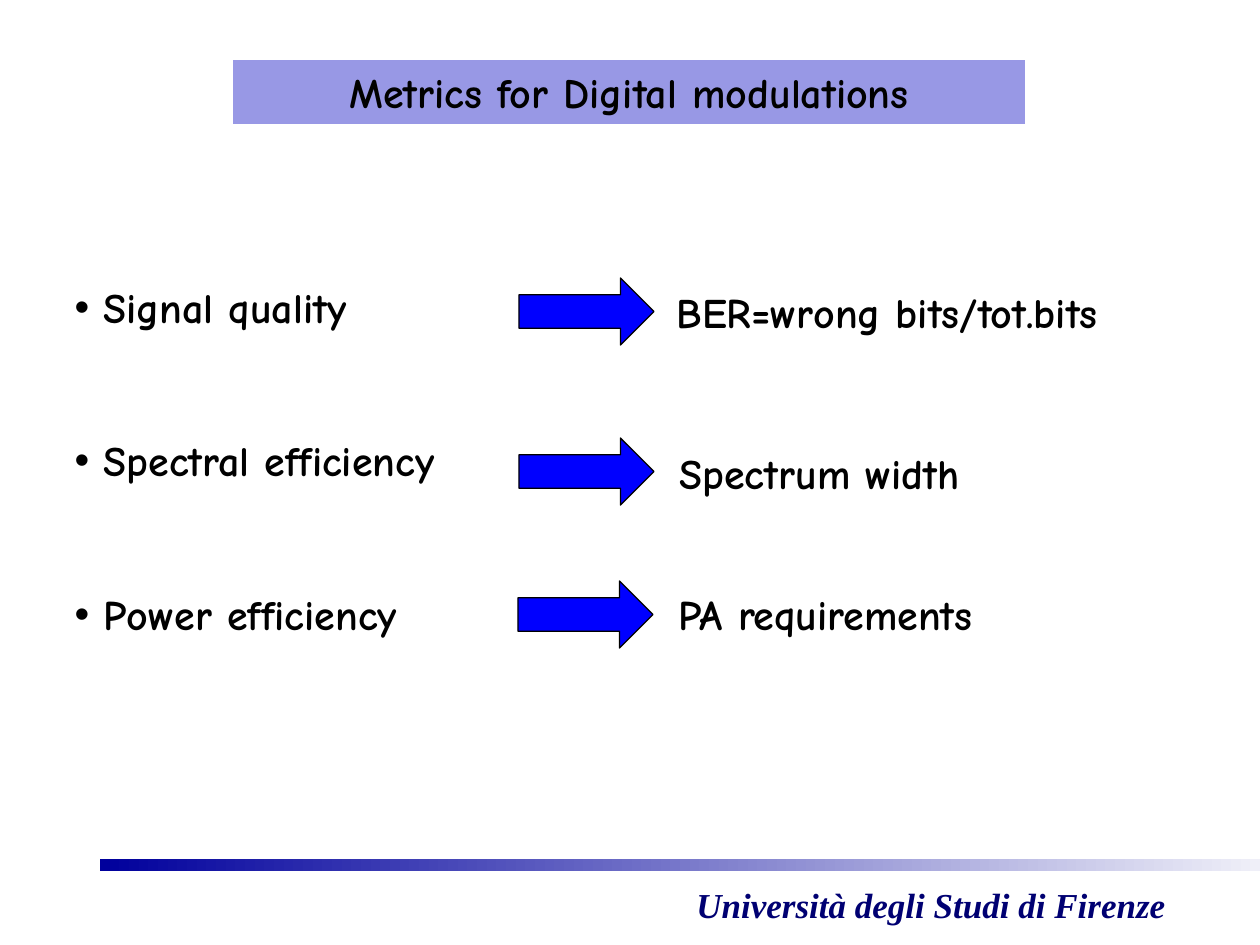
from lxml import etree
from pptx import Presentation
from pptx import util as u
from pptx.dml.color import RGBColor
from pptx.enum import shapes, text
from pptx.oxml import ns

BLACK = RGBColor(0x00, 0x00, 0x00)
WHITE = RGBColor(0xFF, 0xFF, 0xFF)
BLUE = RGBColor(0x00, 0x00, 0xFF)
TITLE_BLUE = RGBColor(0x33, 0x33, 0xCC)
FOOTER_NAVY = RGBColor(0x00, 0x00, 0x72)
BAR_DARK = RGBColor(0x00, 0x00, 0x9C)
BAR_LIGHT = RGBColor(0xEF, 0xEF, 0xF8)

PX_PER_INCH = 126
BODY_FONT = "Comic Neue"
METRICS = [
    ("Signal quality", "BER=wrong bits/tot.bits", (519, 278), (664, 280)),
    ("Spectral efficiency", "Spectrum width", (519, 438), (667, 441)),
    ("Power efficiency", "PA requirements", (518, 581), (666, 582)),
]


def px(length):
    return u.Emu(round(length * 914400 / PX_PER_INCH))


def place(box, left, top, width, height):
    box.left, box.top, box.width, box.height = map(px, (left, top, width, height))


def add_text(para, words, size=24, name=BODY_FONT, color=BLACK, italic=False):
    span = para.add_run()
    span.text = words
    font = span.font
    font.size, font.name = u.Pt(size), name
    font.bold, font.italic = True, italic
    font.color.rgb = color


def set_frame(box, anchor=text.MSO_ANCHOR.TOP):
    frame = box.text_frame
    frame.word_wrap = True
    frame.auto_size = text.MSO_AUTO_SIZE.NONE
    frame.vertical_anchor = anchor
    return frame


def add_bullet(para):
    properties = para._p.get_or_add_pPr()
    properties.set("marL", str(px(29)))
    properties.set("indent", str(-px(29)))
    color = etree.SubElement(properties, ns.qn("a:buClr"))
    etree.SubElement(color, ns.qn("a:srgbClr"), val=str(BLACK))
    etree.SubElement(properties, ns.qn("a:buFont"), typeface="Arial")
    etree.SubElement(properties, ns.qn("a:buChar"), char="•")


def add_shape(page, kind, left, top, width, height):
    shape = page.shapes.add_shape(kind, *map(px, (left, top, width, height)))
    shape.shadow.inherit = False
    return shape


def set_title(page):
    title = page.shapes.title
    place(title, 233, 60, 792, 64)
    title.fill.solid()
    title.fill.fore_color.rgb = TITLE_BLUE
    color = title._element.spPr.find(".//" + ns.qn("a:srgbClr"))
    etree.SubElement(color, ns.qn("a:alpha"), val="50000")
    para = set_frame(title, text.MSO_ANCHOR.MIDDLE).paragraphs[0]
    para.alignment = text.PP_ALIGN.CENTER
    add_text(para, "Metrics for Digital modulations")


def set_metric_list(page):
    body = page.placeholders[1]
    place(body, 62, 275, 484, 370)
    frame = set_frame(body)
    for index, (metric, *_) in enumerate(METRICS):
        para = frame.add_paragraph() if index else frame.paragraphs[0]
        add_bullet(para)
        para.space_before = u.Pt(59 if index else 0)
        add_text(para, metric)


def add_arrow(page, left, top):
    arrow = add_shape(page, shapes.MSO_SHAPE.RIGHT_ARROW, left, top, 135, 67)
    arrow.fill.solid()
    arrow.fill.fore_color.rgb = BLUE
    arrow.line.color.rgb = BLACK
    arrow.line.width = u.Pt(0.75)


def add_measure(page, words, left, top):
    box = page.shapes.add_textbox(*map(px, (left, top, 532, 63)))
    add_text(set_frame(box).paragraphs[0], words)


def add_footer(page):
    label = add_shape(page, shapes.MSO_SHAPE.RECTANGLE, 684, 877, 539, 55)
    label.fill.solid()
    label.fill.fore_color.rgb = WHITE
    label.line.color.rgb = WHITE
    label.line.width = u.Pt(0.75)
    para = set_frame(label).paragraphs[0]
    para.alignment = text.PP_ALIGN.LEFT
    add_text(para, "Università degli Studi di Firenze", 20, "Times New Roman",
             FOOTER_NAVY, True)

    bar = add_shape(page, shapes.MSO_SHAPE.RECTANGLE, 100, 859, 1160, 12)
    bar.line.fill.background()
    bar.fill.gradient()
    bar.fill.gradient_angle = 0
    for stop, color in zip(bar.fill.gradient_stops, (BAR_DARK, BAR_LIGHT)):
        stop.color.rgb = color


def main():
    deck = Presentation()
    deck.slide_width, deck.slide_height = px(1260), px(945)
    page = deck.slides.add_slide(deck.slide_layouts[1])
    add_footer(page)
    set_title(page)
    set_metric_list(page)
    for _, measure, arrow_at, measure_at in METRICS:
        add_arrow(page, *arrow_at)
        add_measure(page, measure, *measure_at)
    deck.save("out.pptx")


if __name__ == "__main__":
    main()
